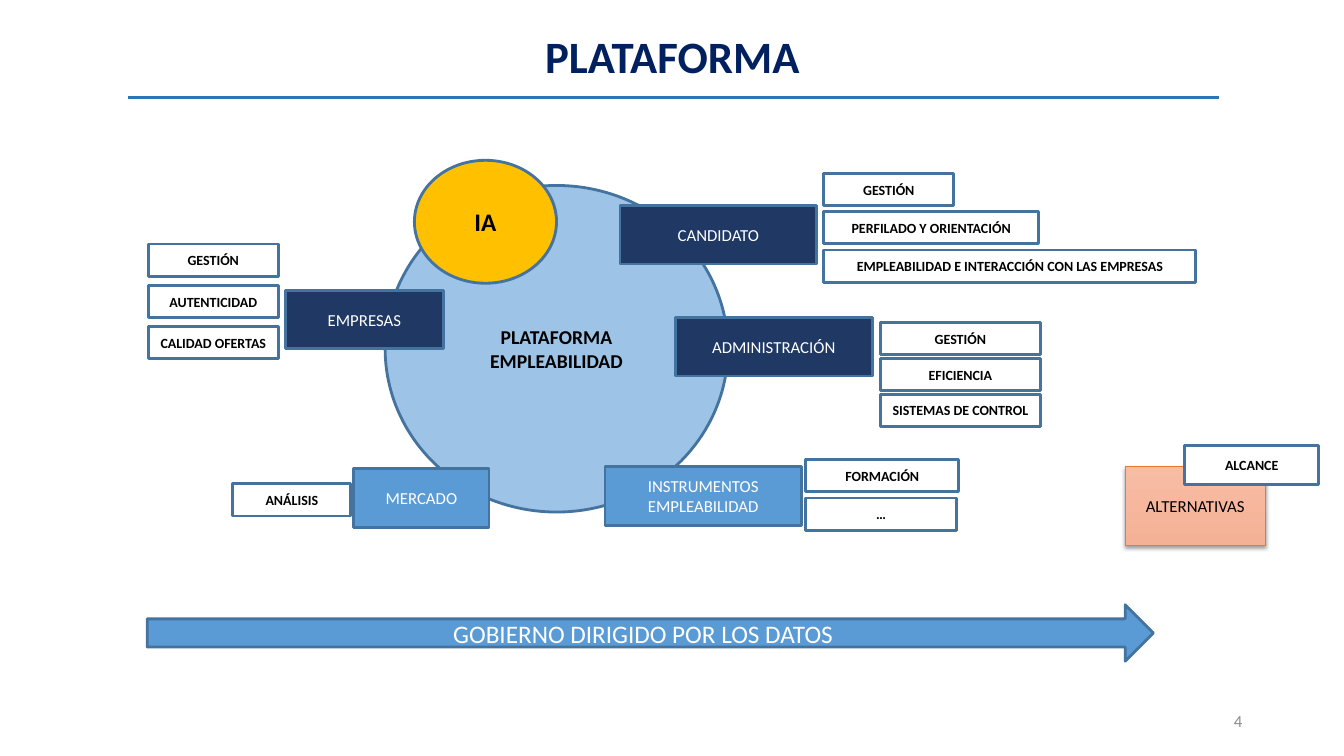
from lxml import etree
from pptx import Presentation
from pptx.dml.color import RGBColor
from pptx.enum.shapes import MSO_CONNECTOR, MSO_SHAPE
from pptx.enum.text import MSO_ANCHOR, PP_ALIGN
from pptx.oxml.ns import qn
from pptx.util import Inches, Pt

RECT, OVAL, ARROW = MSO_SHAPE.RECTANGLE, MSO_SHAPE.OVAL, MSO_SHAPE.RIGHT_ARROW
LINE = MSO_CONNECTOR.STRAIGHT
CENTER, RIGHT, MIDDLE = PP_ALIGN.CENTER, PP_ALIGN.RIGHT, MSO_ANCHOR.MIDDLE

NAVY = RGBColor(0x00, 0x20, 0x60)
DARK = RGBColor(0x20, 0x38, 0x64)
BLUE = RGBColor(0x5B, 0x9B, 0xD5)
PALE = RGBColor(0x9D, 0xC3, 0xE6)
EDGE = RGBColor(0x43, 0x73, 0x9E)
RULE = RGBColor(0x2E, 0x75, 0xB6)
GOLD = RGBColor(0xFF, 0xC0, 0x00)
PEACH = RGBColor(0xF7, 0xBC, 0xA4)
CORAL = RGBColor(0xF4, 0xB1, 0x96)
RUST = RGBColor(0xEC, 0x79, 0x2B)
GRAY = RGBColor(0x8B, 0x8B, 0x8B)
WHITE = RGBColor(0xFF, 0xFF, 0xFF)
BLACK = RGBColor(0x00, 0x00, 0x00)

# Content: boxes are (left, top, width, height)
TITLE, PAGE = "PLATAFORMA", "4"
HUB = ["PLATAFORMA", "EMPLEABILIDAD"]
CORE, SPARK = (3.82, 1.84, 3.4, 3.24), (4.11, 1.59, 1.41, 1.22)
ACTOR_H, TAG_H = 0.58, 0.32
ACTORS = [  # text, left, top, width, fill
    ("EMPRESAS", 2.83, 2.88, 1.57, DARK),
    ("CANDIDATO", 6.15, 2.04, 1.95, DARK),
    ("INSTRUMENTOS EMPLEABILIDAD", 6, 4.63, 1.95, BLUE),
    ("ADMINISTRACIÓN", 6.7, 3.15, 1.95, DARK),
    ("MERCADO", 3.51, 4.65, 1.34, BLUE),
]
STACKS = [  # left, top, step, tags with their widths
    (1.47, 2.42, 0.41, [("GESTIÓN", 1.29), ("AUTENTICIDAD", 1.29),
                        ("CALIDAD OFERTAS", 1.29)]),
    (8.17, 1.72, 0.38, [("GESTIÓN", 1.29), ("PERFILADO Y ORIENTACIÓN", 2.13),
                        ("EMPLEABILIDAD E INTERACCIÓN CON LAS EMPRESAS", 3.69)]),
    (8.73, 3.2, 0.355, [("GESTIÓN", 1.59), ("EFICIENCIA", 1.59),
                        ("SISTEMAS DE CONTROL", 1.59)]),
    (7.99, 4.56, 0.38, [("FORMACIÓN", 1.52), ("…", 1.5)]),
    (2.31, 4.8, 0, [("ANÁLISIS", 1.17)]),
]

deck = Presentation()
deck.slide_width, deck.slide_height = Inches(13.33), Inches(7.5)
slide = deck.slides.add_slide(deck.slide_layouts[6])
parts = slide.shapes


def write(shape, text, size=12, color=WHITE, bold=False, align=CENTER, space=None):
    frame = shape.text_frame
    frame.word_wrap = True
    frame.vertical_anchor = MIDDLE
    for i, words in enumerate(text if isinstance(text, list) else [text]):
        para = frame.add_paragraph() if i else frame.paragraphs[0]
        para.alignment = align
        para.line_spacing = space
        run = para.add_run()
        run.text = words
        font = run.font
        font.name, font.size, font.bold = "Calibri", Pt(size), bold
        font.color.rgb = color


def draw(kind, box, text, fill=WHITE, **form):
    shape = parts.add_shape(kind, *map(Inches, box))
    shape.shadow.inherit = False
    shape.fill.solid()
    shape.fill.fore_color.rgb = fill
    shape.line.color.rgb = EDGE
    shape.line.width = Pt(2)
    write(shape, text, **form)
    return shape


def tag(text, *box):
    draw(RECT, box, text, size=10, color=BLACK, bold=True)


def label(box, text, **form):
    write(parts.add_textbox(*map(Inches, box)), text, **form)


# Heading, rule and page number
label((0.92, 0.32, 11.5, 0.53), TITLE, size=32, color=NAVY, bold=True, space=0.9)
label((9.42, 6.95, 3, 0.4), PAGE, color=GRAY, align=RIGHT)
rule = parts.add_connector(LINE, *map(Inches, (1.27, 0.97, 12.09, 0.97)))
rule.line.color.rgb = RULE
rule.line.width = Pt(2.25)
etree.SubElement(rule._element.spPr, qn("a:effectLst"))

# Hub and its actors
draw(OVAL, CORE, HUB, PALE, size=14, color=BLACK, bold=True)
draw(OVAL, SPARK, "IA", GOLD, size=18, color=BLACK, bold=True)
for text, left, top, width, fill in ACTORS:
    draw(RECT, (left, top, width, ACTOR_H), text, fill)

# Tags beside each actor
for left, top, step, tags in STACKS:
    for i, (text, width) in enumerate(tags):
        tag(text, left, top + i * step, width, TAG_H)

# Alternatives, with gradient and soft shadow
other = draw(RECT, (11.16, 4.63, 1.39, 0.78), "ALTERNATIVAS", color=BLACK)
other.fill.gradient()
other.fill.gradient_angle = 270
for stop, place, color in zip(other.fill.gradient_stops, (0, 1), (PEACH, CORAL)):
    stop.position = place
    stop.color.rgb = color
other.line.color.rgb = RUST
other.line.width = Pt(0.75)
shade = etree.SubElement(
    other._element.spPr.find(qn("a:effectLst")), qn("a:outerShdw"),
    blurRad=str(Pt(3.1)), dist=str(Pt(1.6)), dir="5400000", rotWithShape="0")
tint = etree.SubElement(shade, qn("a:srgbClr"), val=str(BLACK))
etree.SubElement(tint, qn("a:alpha"), val="38000")
tag("ALCANCE", 11.75, 4.42, 1.33, 0.39)

# Base arrow
draw(ARROW, (1.46, 6, 9.98, 0.56), "GOBIERNO DIRIGIDO POR LOS DATOS", BLUE, size=18)

deck.save("out.pptx")
